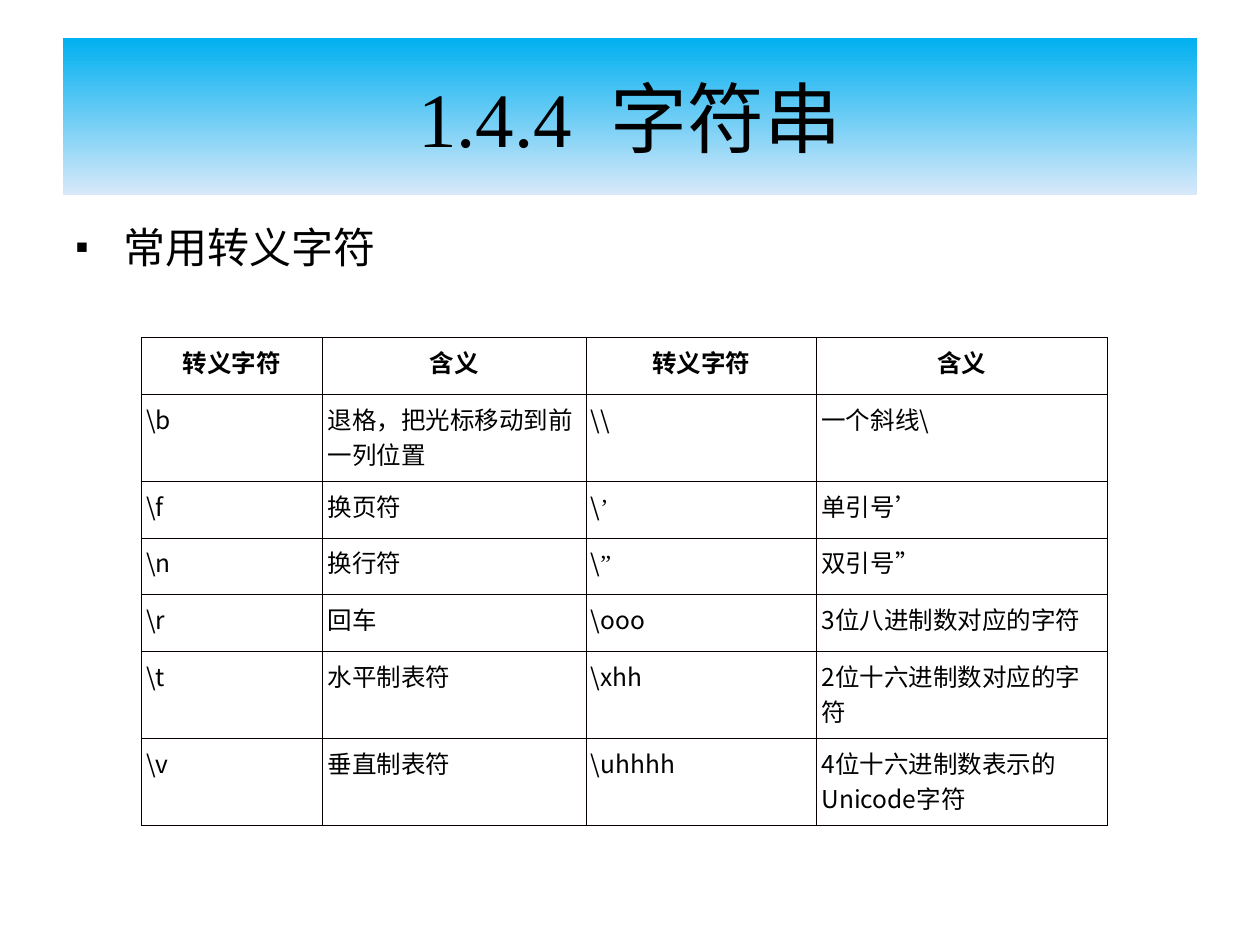
from lxml.etree import SubElement
from pptx import Presentation
from pptx.dml.color import RGBColor
from pptx.enum.text import MSO_ANCHOR, MSO_AUTO_SIZE, PP_ALIGN
from pptx.oxml.ns import qn
from pptx.util import Pt

PX = 9144
COLORS = {"ink": "000000", "border": "080000", "sky": "00B0F0", "mist": "D8E9FA"}
SANS, SERIF, BODY = "Noto Sans CJK SC", "Times New Roman", "Arial"
QUOTES = "’”"
COLUMN_WIDTHS = [144, 209, 183, 231]
ROW_HEIGHTS = [45, 69, 45, 45, 45, 69, 69]
ESCAPES = [
    ["转义字符", "含义", "转义字符", "含义"],
    [r"\b", "退格，把光标移动到前一列位置", r"\\", "一个斜线\\"],
    [r"\f", "换页符", r"\’", "单引号’"],
    [r"\n", "换行符", r"\”", "双引号”"],
    [r"\r", "回车", r"\ooo", "3位八进制数对应的字符"],
    [r"\t", "水平制表符", r"\xhh", "2位十六进制数对应的字符"],
    [r"\v", "垂直制表符", r"\uhhhh", "4位十六进制数表示的Unicode字符"],
]


def color(name):
    return RGBColor.from_string(COLORS[name])


def apply(target, values):
    for name, value in values.items():
        setattr(target, name, value)


def px_box(box):
    return dict(zip(("left", "top", "width", "height"), (n * PX for n in box)))


def add_span(para, text, size, font, bold=False):
    span = para.add_run()
    span.text = text
    apply(span.font, {"size": Pt(size), "name": font, "bold": bold})
    span.font.color.rgb = color("ink")
    SubElement(span.font._element, qn("a:ea")).set("typeface", SANS)


def title_band(page, box):
    title = page.shapes.title
    apply(title, px_box(box))
    title.fill.gradient()
    title.fill.gradient_angle = 270
    for stop, name, position in zip(title.fill.gradient_stops, ("sky", "mist"), (0, 1)):
        stop.color.rgb = color(name)
        stop.position = position
    apply(title.text_frame, {"auto_size": MSO_AUTO_SIZE.NONE,
                             "vertical_anchor": MSO_ANCHOR.MIDDLE})
    para = title.text_frame.paragraphs[0]
    para.alignment = PP_ALIGN.CENTER
    add_span(para, "1.4.4  字符串", 44, SERIF)


def bullet_text(page, box):
    frame = page.shapes.add_textbox(**px_box(box)).text_frame
    frame.word_wrap = True
    para = frame.paragraphs[0]
    para.line_spacing = 0.9
    props = para._p.get_or_add_pPr()
    props.set("marL", str(38 * PX))
    props.set("indent", str(-38 * PX))
    bullet_color = SubElement(props, qn("a:buClr"))
    SubElement(bullet_color, qn("a:srgbClr")).set("val", COLORS["ink"])
    SubElement(props, qn("a:buSzPct")).set("val", "90000")
    SubElement(props, qn("a:buFont")).set("typeface", BODY)
    SubElement(props, qn("a:buChar")).set("char", "▪")
    add_span(para, "常用转义字符", 24, BODY)


def cell_borders(cell):
    props = cell._tc.get_or_add_tcPr()
    for index, side in enumerate(("lnL", "lnR", "lnT", "lnB")):
        line = props.makeelement(qn(f"a:{side}"), {"w": str(Pt(0.45))})
        props.insert(index, line)
        fill = SubElement(line, qn("a:solidFill"))
        SubElement(fill, qn("a:srgbClr")).set("val", COLORS["border"])


def fill_cell(cell, text, header):
    cell.fill.background()
    cell_borders(cell)
    para = cell.text_frame.paragraphs[0]
    if header:
        para.alignment = PP_ALIGN.CENTER
    else:
        cell.margin_left = 4 * PX
    words = text.rstrip(QUOTES)
    add_span(para, words, 14, SANS, header)
    if words != text:
        add_span(para, text[len(words):], 14, SERIF)


def escape_table(page, left, top):
    box = (left, top, sum(COLUMN_WIDTHS), sum(ROW_HEIGHTS))
    table = page.shapes.add_table(len(ESCAPES), len(COLUMN_WIDTHS), **px_box(box)).table
    apply(table, {"first_row": False, "horz_banding": False})
    for column, width in zip(table.columns, COLUMN_WIDTHS):
        column.width = width * PX
    for index, (row, height) in enumerate(zip(table.rows, ROW_HEIGHTS)):
        row.height = height * PX
        for cell, text in zip(row.cells, ESCAPES[index]):
            fill_cell(cell, text, index == 0)


def main():
    deck = Presentation()
    apply(deck, {"slide_width": 1000 * PX, "slide_height": 750 * PX})
    page = deck.slides.add_slide(deck.slide_layouts[5])
    title_band(page, (50, 30, 900, 125))
    bullet_text(page, (50, 175, 900, 495))
    escape_table(page, 112, 268)
    deck.save("out.pptx")


if __name__ == "__main__":
    main()
